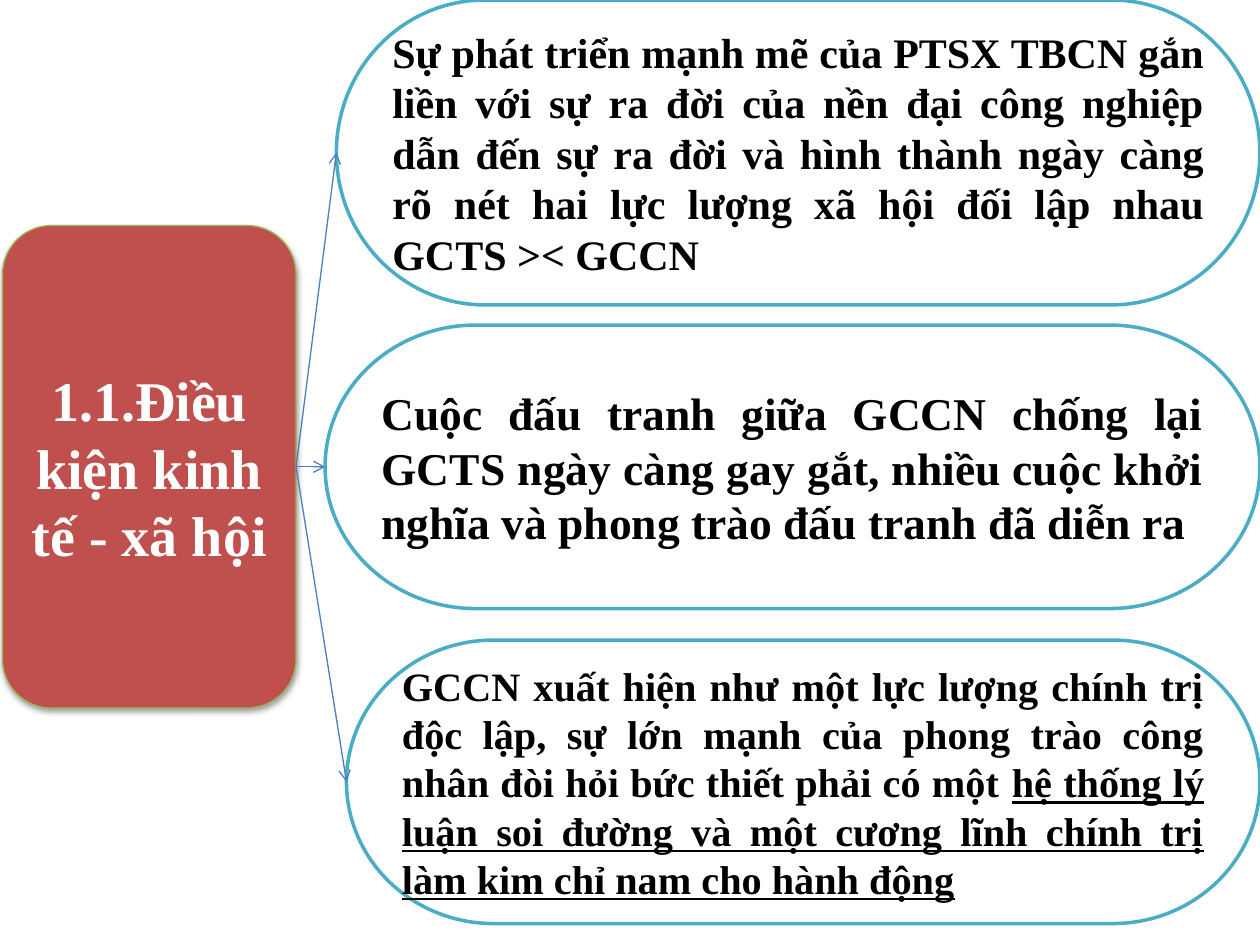
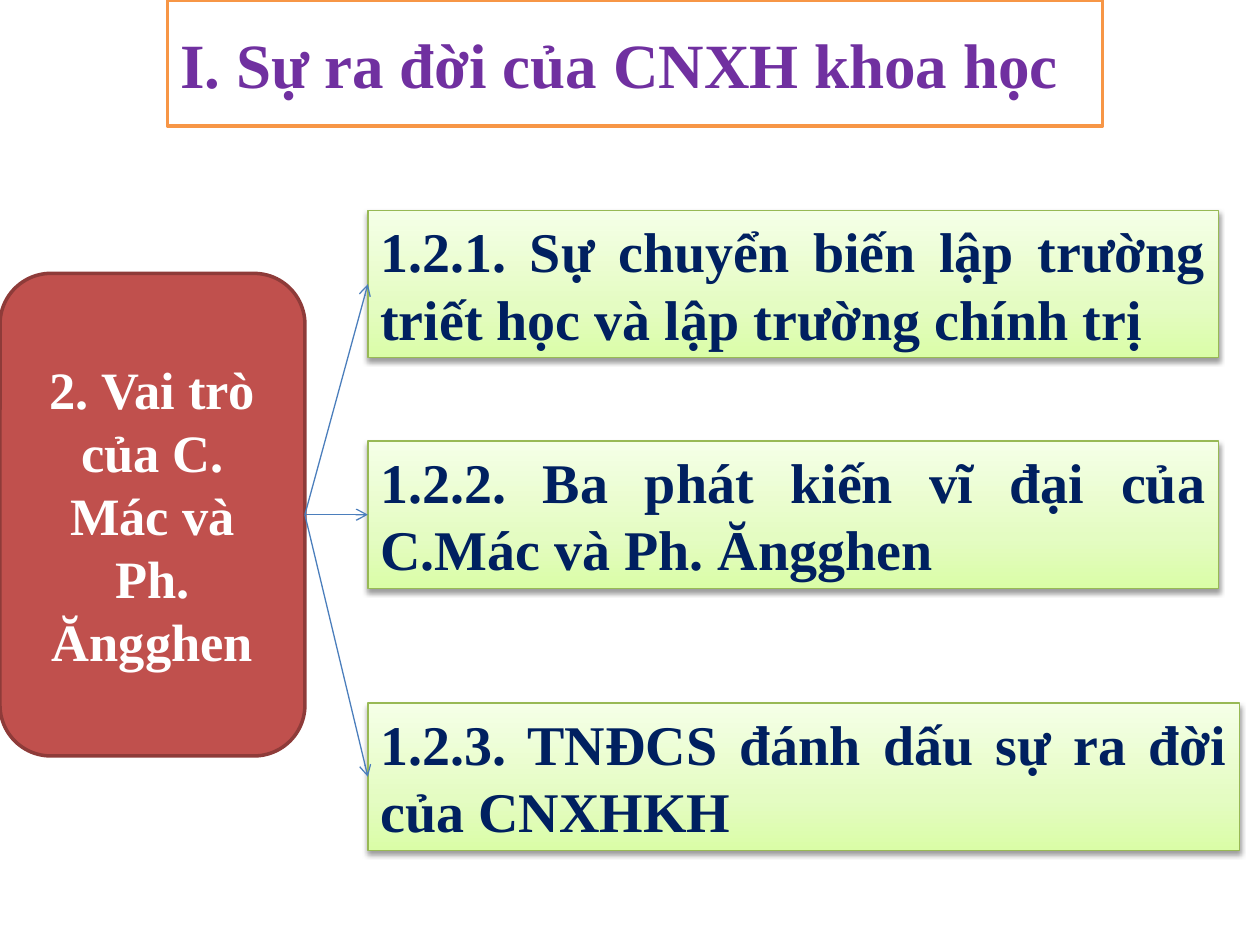
import copy
import pptx
import pptx.util
import pptx.dml.color
import pptx.enum.shapes
import pptx.enum.text
import pptx.oxml
import pptx.oxml.ns
import pptx.oxml.xmlchemy

Inches = pptx.util.Inches
Pt = pptx.util.Pt
SHAPES = pptx.enum.shapes.MSO_SHAPE
ALIGN = pptx.enum.text.PP_ALIGN
qn = pptx.oxml.ns.qn
OxmlElement = pptx.oxml.xmlchemy.OxmlElement

FONT = "Times New Roman"
ARROW_BLUE = "4B7EBC"
GREEN_STOPS = [(0, "DAFDA7"), (0.35, "E4FCC2"), (1, "F5FFE7")]
SHADOW = (
    f'<a:outerShdw {pptx.oxml.ns.nsdecls("a")} blurRad="40000" dist="20000" '
    'dir="5400000" rotWithShape="0"><a:srgbClr val="000000">'
    '<a:alpha val="38000"/></a:srgbClr></a:outerShdw>'
)

TOPIC = dict(fill="C0504D", color="FFFFFF", align=ALIGN.CENTER)
RAISED_TOPIC = dict(TOPIC, line="98B955", width=0.75, size=32, raised=True)
FLAT_TOPIC = dict(TOPIC, line="8E3B39", width=2, size=30)
CONDITION = dict(fill="FFFFFF", line="4BACC6", width=2, color="000000", align=ALIGN.JUSTIFY)
ROLE = dict(line="98B955", width=0.75, color="002060", size=32, align=ALIGN.JUSTIFY, raised=True)
TITLE = dict(fill="FFFFFF", line="F79646", width=2, color="7030A0", size=36, align=ALIGN.JUSTIFY)


def rgb(value):
    return pptx.dml.color.RGBColor.from_string(value)


def dress(shape, text, look, underlined=""):
    if "fill" in look:
        shape.fill.solid()
        shape.fill.fore_color.rgb = rgb(look["fill"])
    else:
        shape.fill.gradient()
        shape.fill.gradient_angle = 90
        stops = shape._element.spPr.find(".//" + qn("a:gsLst"))
        stops.insert(1, copy.deepcopy(stops[0]))
        for stop, (position, color) in zip(shape.fill.gradient_stops, GREEN_STOPS):
            stop.position = position
            stop.color.rgb = rgb(color)
    shape.line.color.rgb = rgb(look["line"])
    shape.line.width = Pt(look["width"])
    shape.shadow.inherit = False
    if look.get("raised"):
        effects = shape._element.spPr.find(qn("a:effectLst"))
        effects.append(pptx.oxml.parse_xml(SHADOW))

    frame = shape.text_frame
    frame_format = dict(
        word_wrap=True,
        auto_size=pptx.enum.text.MSO_AUTO_SIZE.NONE,
        vertical_anchor=pptx.enum.text.MSO_ANCHOR.MIDDLE,
    )
    for name, value in frame_format.items():
        setattr(frame, name, value)
    paragraph = frame.paragraphs[0]
    paragraph.alignment = look["align"]
    for words in filter(None, (text, underlined)):
        run = paragraph.add_run()
        run.text = words
        for name, value in dict(name=FONT, size=Pt(look["size"]), bold=True).items():
            setattr(run.font, name, value)
        run.font.color.rgb = rgb(look["color"])
        if words == underlined:
            run.font.underline = True


deck = pptx.Presentation()
deck.slide_width = Inches(10)
deck.slide_height = Inches(7.5)

conditions_slide = deck.slides.add_slide(deck.slide_layouts[6])
roles_slide = deck.slides.add_slide(deck.slide_layouts[5])

title = roles_slide.shapes.title
for name, value in dict(left=1.33, top=0, width=7.42, height=1).items():
    setattr(title, name, Inches(value))
dress(title, "I. Sự ra đời của CNXH khoa học", TITLE)
indent = title.text_frame.paragraphs[0]._p.get_or_add_pPr()
indent.set("marL", str(Inches(0.37)))
indent.set("indent", str(Inches(-0.37)))

conditions = [
    (2.67, 0, 7.33, 2.42, dict(CONDITION, size=24),
     "Sự phát triển mạnh mẽ của PTSX TBCN gắn liền với sự ra đời của nền đại công nghiệp "
     "dẫn đến sự ra đời và hình thành ngày càng rõ nét hai lực lượng xã hội đối lập nhau "
     "GCTS >< GCCN", ""),
    (2.58, 2.58, 7.42, 2.25, dict(CONDITION, size=26),
     "Cuộc đấu tranh giữa GCCN chống lại GCTS ngày càng gay gắt, nhiều cuộc khởi nghĩa "
     "và phong trào đấu tranh đã diễn ra", ""),
    (2.75, 5.08, 7.25, 2.25, dict(CONDITION, size=23),
     "GCCN xuất hiện như một lực lượng chính trị độc lập, sự lớn mạnh của phong trào "
     "công nhân đòi hỏi bức thiết phải có một ",
     "hệ thống lý luận soi đường và một cương lĩnh chính trị làm kim chỉ nam cho hành động"),
]
roles = [
    (2.92, 1.67, 6.75, 1.17, ROLE,
     "1.2.1. Sự chuyển biến lập trường triết học và lập trường chính trị", ""),
    (2.92, 3.5, 6.75, 1.17, ROLE,
     "1.2.2. Ba phát kiến vĩ đại của C.Mác và Ph. Ăngghen", ""),
    (2.92, 5.58, 6.92, 1.17, ROLE,
     "1.2.3. TNĐCS đánh dấu sự ra đời của CNXHKH", ""),
]
diagrams = [
    (conditions_slide, (0.02, 1.79, 2.33, 3.83), RAISED_TOPIC,
     "1.1.Điều kiện kinh tế - xã hội", SHAPES.FLOWCHART_TERMINATOR, conditions),
    (roles_slide, (0, 2.17, 2.42, 3.83), FLAT_TOPIC,
     "2. Vai trò của C. Mác và Ph. Ăngghen", SHAPES.RECTANGLE, roles),
]

for slide, topic_box, topic_look, topic_text, branch_kind, branches in diagrams:
    topic = slide.shapes.add_shape(SHAPES.ROUNDED_RECTANGLE, *map(Inches, topic_box))
    dress(topic, topic_text, topic_look)

    branch_shapes = []
    for left, top, width, height, look, text, underlined in branches:
        branch = slide.shapes.add_shape(branch_kind, *map(Inches, (left, top, width, height)))
        dress(branch, text, look, underlined)
        branch_shapes.append(branch)

    for branch in branch_shapes:
        arrow = slide.shapes.add_connector(pptx.enum.shapes.MSO_CONNECTOR.STRAIGHT, 0, 0, 0, 0)
        arrow.begin_connect(topic, 3)
        arrow.end_connect(branch, 1)
        arrow.line.color.rgb = rgb(ARROW_BLUE)
        arrow.line.width = Pt(0.75)
        head = OxmlElement("a:tailEnd")
        head.set("type", "arrow")
        arrow.line._get_or_add_ln().append(head)
        arrow._element.spPr.append(OxmlElement("a:effectLst"))

deck.save("out.pptx")
